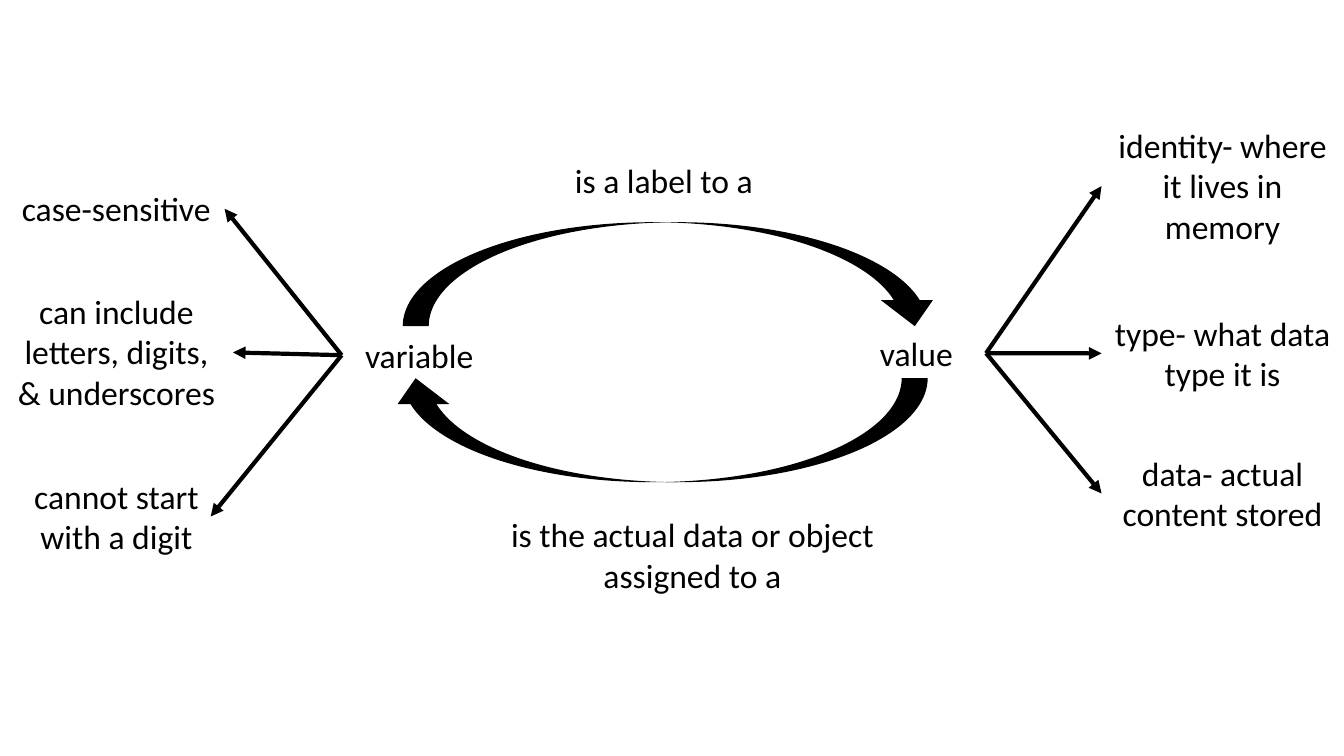
import pptx
import pptx.util
import pptx.dml.color
import pptx.enum.shapes
import pptx.enum.text
import pptx.oxml.ns
import lxml.etree
from pptx.util import Cm

# Content: text, left, top, width (cm), number of lines
VALUE = ("value", 21.34, 8.26, 3.51, 1)
VARIABLE = ("variable", 8.61, 8.31, 3.91, 1)
RELATIONS = [
    ("is a label to a ", 12.85, 3.91, 7.95, 1),
    ("is the actual data or object assigned to a", 11.81, 12.83, 11.28, 2),
]
VARIABLE_RULES = [
    ("case-sensitive", 0.2, 4.62, 5.46, 1),
    ("can include letters, digits, & underscores", 0, 7.21, 5.87, 3),
    ("cannot start with a digit", 0.56, 11.86, 4.75, 2),
]
VALUE_PARTS = [
    ("identity- where it lives in memory", 27.76, 3.02, 6.1, 3),
    ("type- what data type it is", 27.76, 7.75, 6.1, 2),
    ("data- actual content stored", 27.76, 11.28, 6.1, 2),
]
# Cycle arrows before rotation: left, top, mirrored axis
CYCLE = [(15.29, 4.06, "flipH"), (15.62, 0.13, "flipV")]
CYCLE_WIDTH, CYCLE_HEIGHT = 2.62, 13.56

COLORS = {"ink": "000000", "paper": "FFFFFF"}
FONT, FONT_SIZE = "Calibri", 24
LINE_HEIGHT, PADDING = 1.03, 0.25
TOP, LEFT, BOTTOM, RIGHT = range(4)


def color(name):
    return pptx.dml.color.RGBColor.from_string(COLORS[name])


def add_label(slide, content):
    text, left, top, width, lines = content
    height = PADDING + LINE_HEIGHT * lines
    label = slide.shapes.add_textbox(Cm(left), Cm(top), Cm(width), Cm(height))
    frame = label.text_frame
    frame.word_wrap = True
    frame.auto_size = pptx.enum.text.MSO_AUTO_SIZE.SHAPE_TO_FIT_TEXT
    paragraph = frame.paragraphs[0]
    paragraph.alignment = pptx.enum.text.PP_ALIGN.CENTER
    run = paragraph.add_run()
    run.text = text
    run.font.name = FONT
    run.font.size = pptx.util.Pt(FONT_SIZE)
    run.font.color.rgb = color("ink")
    return label


def add_cycle_arrow(slide, left, top, flip):
    arrow = slide.shapes.add_shape(
        pptx.enum.shapes.MSO_SHAPE.CURVED_RIGHT_ARROW,
        Cm(left), Cm(top), Cm(CYCLE_WIDTH), Cm(CYCLE_HEIGHT))
    arrow.rotation = 90
    arrow.shadow.inherit = False
    arrow.fill.solid()
    arrow.fill.fore_color.rgb = color("ink")
    arrow.line.fill.background()
    arrow._element.spPr.find(pptx.oxml.ns.qn("a:xfrm")).set(flip, "1")


def add_branch(slide, concept, concept_side, detail, detail_side):
    branch = slide.shapes.add_connector(
        pptx.enum.shapes.MSO_CONNECTOR.STRAIGHT, 0, 0, 0, 0)
    branch.begin_connect(concept, concept_side)
    branch.end_connect(detail, detail_side)
    branch.line.color.rgb = color("ink")
    branch.line.width = pptx.util.Pt(3)
    qn = pptx.oxml.ns.qn
    lxml.etree.SubElement(branch.line._get_or_add_ln(), qn("a:tailEnd"), type="triangle")
    lxml.etree.SubElement(branch._element.spPr, qn("a:effectLst"))


def main():
    deck = pptx.Presentation()
    deck.slide_width, deck.slide_height = Cm(33.87), Cm(19.05)
    slide = deck.slides.add_slide(deck.slide_layouts[6])

    # The two concepts and the wording between them
    value = add_label(slide, VALUE)
    variable = add_label(slide, VARIABLE)
    variable.fill.solid()
    variable.fill.fore_color.rgb = color("paper")
    for relation in RELATIONS:
        add_label(slide, relation)

    # Curved arrows of the cycle
    for left, top, flip in CYCLE:
        add_cycle_arrow(slide, left, top, flip)

    # Details branching off each concept
    for concept, side, details, detail_side in [
        (variable, LEFT, VARIABLE_RULES, RIGHT),
        (value, RIGHT, VALUE_PARTS, LEFT),
    ]:
        for content in details:
            add_branch(slide, concept, side, add_label(slide, content), detail_side)

    deck.save("out.pptx")


if __name__ == "__main__":
    main()
